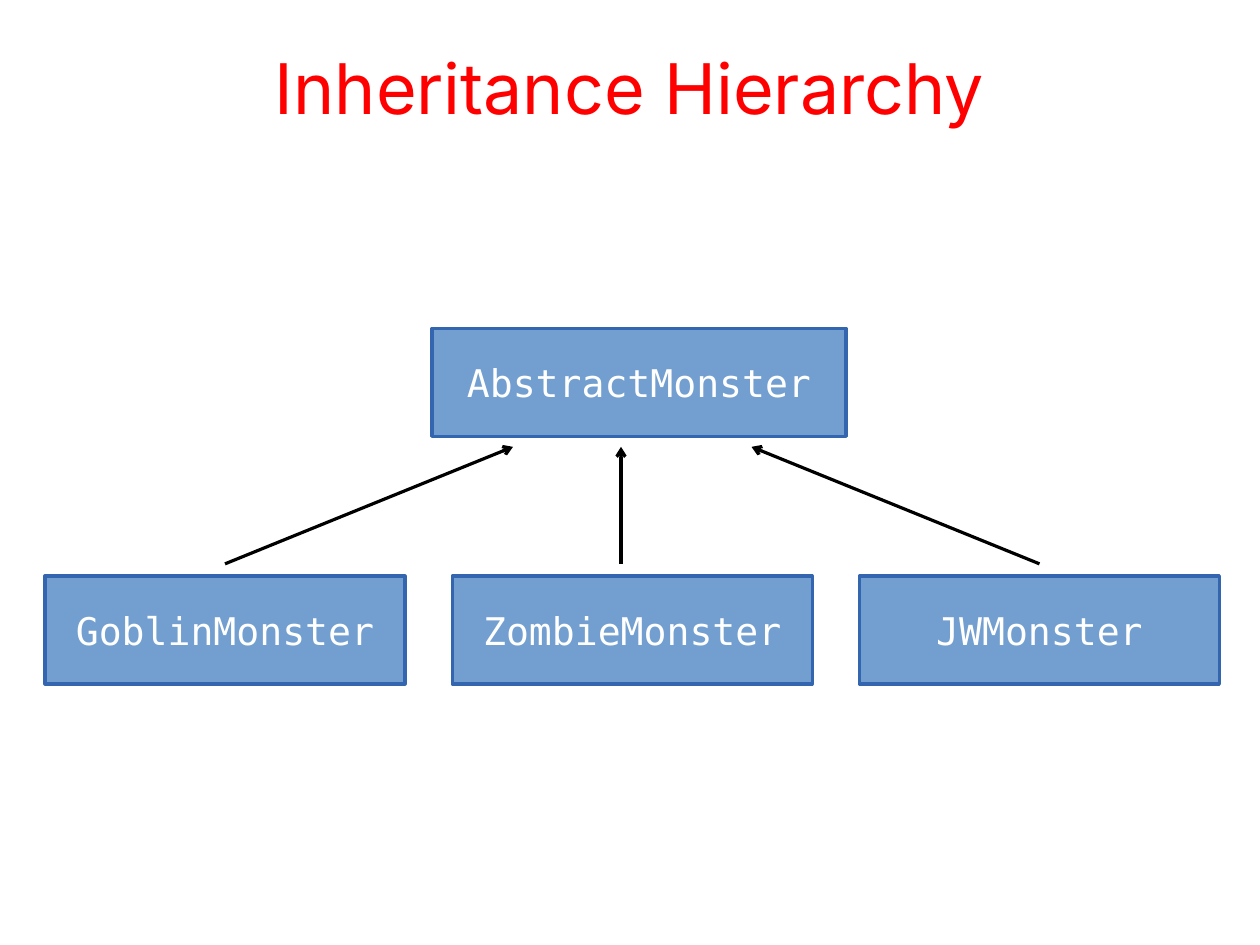
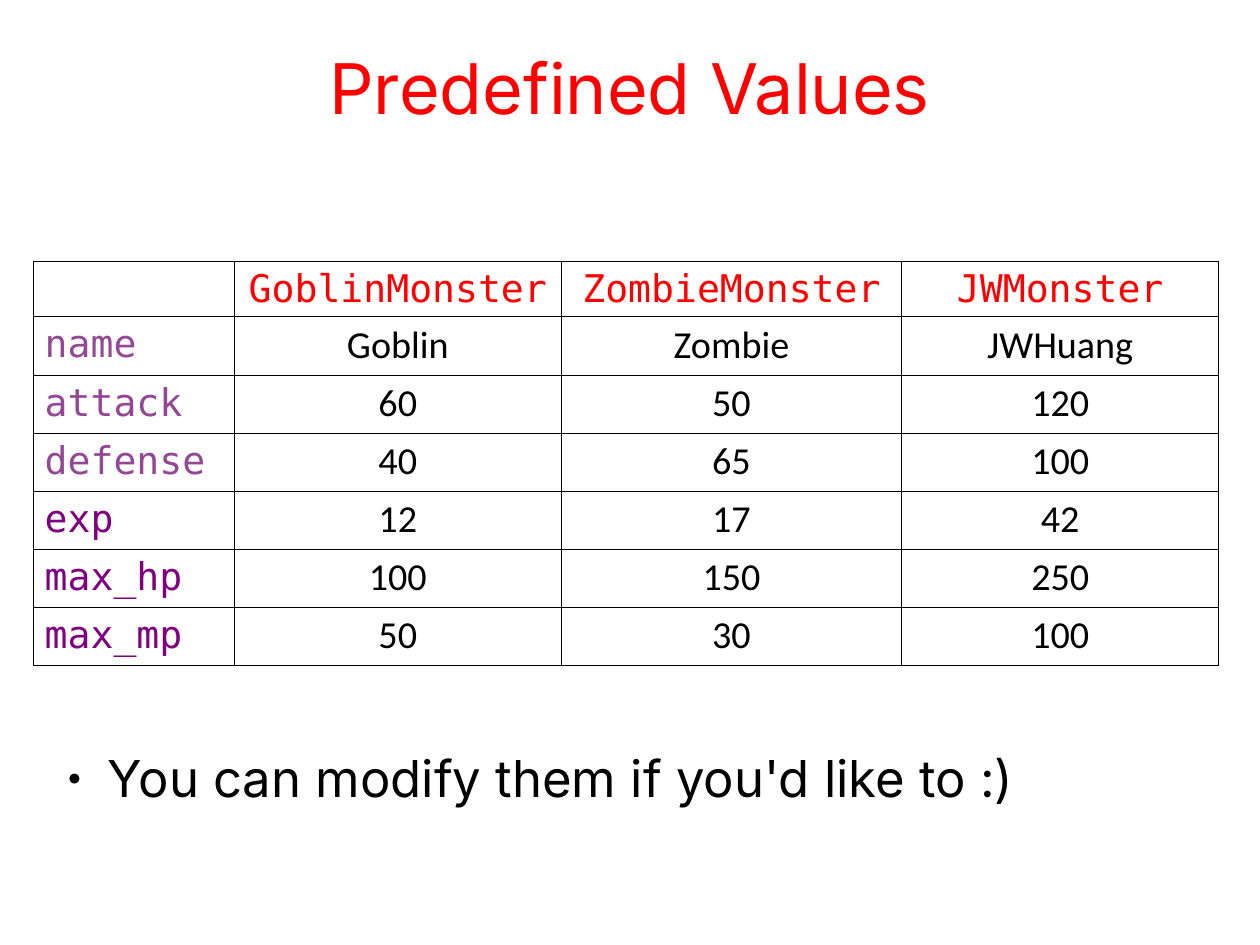
from lxml.etree import SubElement
from pptx import Presentation
from pptx.dml.color import RGBColor
from pptx.enum.shapes import MSO_CONNECTOR, MSO_SHAPE
from pptx.enum.text import MSO_ANCHOR, MSO_AUTO_SIZE, PP_ALIGN
from pptx.oxml.ns import qn
from pptx.util import Cm, Pt

COLORS = {
    "title": "FF0000",
    "text": "000000",
    "box": "729FCF",
    "box_line": "3465AF",
    "box_text": "FFFFFF",
    "inherited": "944794",
    "own": "800080",
}
FONTS = {"main": "Inter", "code": "DejaVu Sans Mono", "table": "Calibri"}
COLUMNS, ROWS = 28, 21
TITLE_ONLY, TITLE_AND_BODY = 5, 1


class Deck:
    def __init__(self):
        self.presentation = Presentation()
        self.presentation.slide_width = Cm(COLUMNS)
        self.presentation.slide_height = Cm(ROWS)
        self.slide = None

    def column(self, count):
        return int(self.presentation.slide_width * count / COLUMNS)

    def row(self, count):
        return int(self.presentation.slide_height * count / ROWS)

    def area(self, left, top, width, height):
        return self.column(left), self.row(top), self.column(width), self.row(height)

    def color(self, name):
        return RGBColor.from_string(COLORS[name])

    def set_text(self, frame, text, size, font, color, align=PP_ALIGN.CENTER):
        frame.text = text
        paragraph = frame.paragraphs[0]
        paragraph.alignment = align
        for run in paragraph.runs:
            run.font.size = Pt(size)
            run.font.name = FONTS[font]
            run.font.bold = False
            run.font.color.rgb = self.color(color)
        return paragraph

    def frame(self, shape, anchor, wrap=True):
        frame = shape.text_frame
        frame.auto_size = MSO_AUTO_SIZE.NONE
        frame.word_wrap = wrap
        frame.vertical_anchor = anchor
        frame.margin_left = frame.margin_right = 0
        frame.margin_top = frame.margin_bottom = 0
        return frame

    def place(self, shape, *area):
        shape.left, shape.top, shape.width, shape.height = self.area(*area)

    def add_slide(self, title, layout):
        self.slide = self.presentation.slides.add_slide(self.presentation.slide_layouts[layout])
        shape = self.slide.shapes.title
        self.place(shape, 1.4, 0.84, 25.2, 2.18)
        self.set_text(self.frame(shape, MSO_ANCHOR.MIDDLE), title, 44, "main", "title")

    def bullet(self, text, *area):
        shape = self.slide.placeholders[1]
        self.place(shape, *area)
        frame = self.frame(shape, MSO_ANCHOR.TOP)
        paragraph = self.set_text(frame, text, 32, "main", "text", PP_ALIGN.LEFT)
        paragraph.space_before = Pt(0)
        paragraph.space_after = Pt(14.1)
        properties = paragraph._p.get_or_add_pPr()
        properties.set("marL", str(self.column(1.2)))
        properties.set("indent", str(-self.column(0.9)))
        SubElement(properties, qn("a:buSzPct"), val="45000")
        SubElement(properties, qn("a:buChar"), char="●")

    def box(self, text, *area):
        shape = self.slide.shapes.add_shape(MSO_SHAPE.RECTANGLE, *self.area(*area))
        shape.shadow.inherit = False
        shape.fill.solid()
        shape.fill.fore_color.rgb = self.color("box")
        shape.line.color.rgb = self.color("box_line")
        shape.line.width = Pt(2)
        frame = self.frame(shape, MSO_ANCHOR.MIDDLE, wrap=False)
        self.set_text(frame, text, 24, "code", "box_text")

    def arrow(self, start, end):
        connector = self.slide.shapes.add_connector(
            MSO_CONNECTOR.STRAIGHT,
            self.column(start[0]), self.row(start[1]),
            self.column(end[0]), self.row(end[1]),
        )
        connector.line.color.rgb = self.color("text")
        connector.line.width = Pt(0)
        properties = connector._element.spPr
        SubElement(properties.find(qn("a:ln")), qn("a:tailEnd"), type="arrow")
        SubElement(properties, qn("a:effectLst"))

    def border(self, cell):
        properties = cell._tc.get_or_add_tcPr()
        for side in ("a:lnL", "a:lnR", "a:lnT", "a:lnB"):
            line = SubElement(properties, qn(side), w=str(Pt(0.5)))
            fill = SubElement(line, qn("a:solidFill"))
            SubElement(fill, qn("a:srgbClr"), val=COLORS["text"])

    def table(self, left, top, widths, heights, header, records):
        values = [header] + [record[1:] for record in records]
        area = self.area(left, top, sum(widths), sum(heights))
        table = self.slide.shapes.add_table(len(values), len(widths), *area).table
        table.first_row = table.horz_banding = False
        for column, width in zip(table.columns, widths):
            column.width = self.column(width)
        for row, height in zip(table.rows, heights):
            row.height = self.row(height)
        for row_index, row_values in enumerate(values):
            for column_index, value in enumerate(row_values):
                cell = table.cell(row_index, column_index)
                self.border(cell)
                cell.fill.background()
                font, color, align = "table", "text", PP_ALIGN.CENTER
                if row_index == 0:
                    font, color = "code", "title"
                elif column_index == 0:
                    font, color, align = "code", records[row_index - 1][0], PP_ALIGN.LEFT
                self.set_text(cell.text_frame, value, 24, font, color, align)


monsters = ["GoblinMonster", "ZombieMonster", "JWMonster"]
deck = Deck()

deck.add_slide("Inheritance Hierarchy", TITLE_ONLY)
deck.box("AbstractMonster", 9.6, 7.3, 9.2, 2.4)
for index, monster in enumerate(monsters):
    deck.box(monster, 1 + 9.05 * index, 12.8, 8, 2.4)
for child, parent in ((5, 11.4), (13.8, 13.8), (23.1, 16.7)):
    deck.arrow((child, 12.53), (parent, 9.93))

attributes = [
    ("inherited", "name", "Goblin", "Zombie", "JWHuang"),
    ("inherited", "attack", "60", "50", "120"),
    ("inherited", "defense", "40", "65", "100"),
    ("own", "exp", "12", "17", "42"),
    ("own", "max_hp", "100", "150", "250"),
    ("own", "max_mp", "50", "30", "100"),
]
deck.add_slide("Predefined Values", TITLE_AND_BODY)
deck.bullet("You can modify them if you'd like to :)", 1.2, 16.6, 22.2, 1.5)
deck.table(
    0.74, 5.8, [4.47, 7.26, 7.57, 7.04], [1.24] + [1.29] * len(attributes),
    [""] + monsters, attributes,
)

deck.presentation.save("out.pptx")
